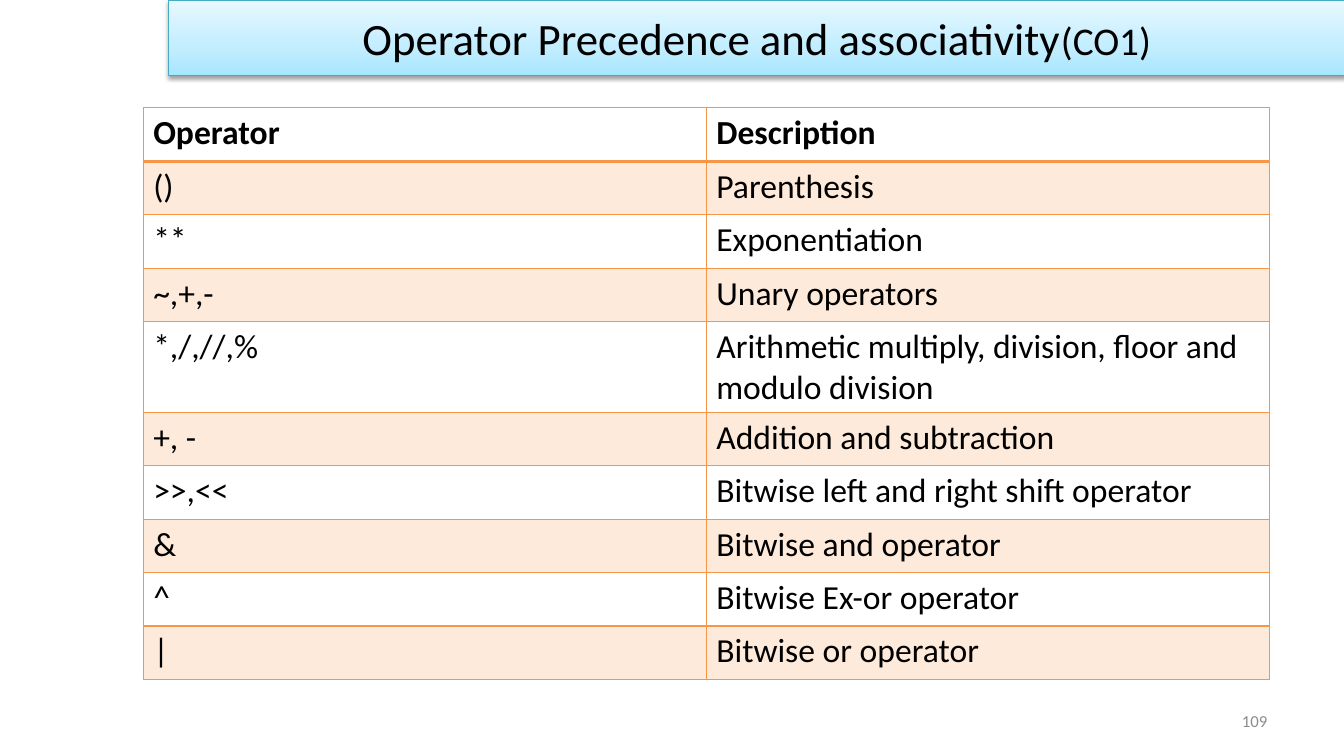
from pptx import Presentation
from pptx.dml.color import RGBColor
from pptx.enum.shapes import MSO_SHAPE as SHAPE
from pptx.enum.text import MSO_ANCHOR as ANCHOR, PP_ALIGN as ALIGN
from pptx.oxml import parse_xml
from pptx.oxml.ns import nsdecls
from pptx.util import Inches, Pt

ORANGE = "F79646"


def color(hex_string):
    return RGBColor.from_string(hex_string)


def style_run(run, size, hex_string="000000", bold=False):
    run.font.name = "Calibri"
    run.font.size = Pt(size)
    run.font.bold = bold
    run.font.color.rgb = color(hex_string)


presentation = Presentation()
presentation.slide_width = Inches(13.33)
presentation.slide_height = Inches(7.5)
slide = presentation.slides.add_slide(presentation.slide_layouts[6])

# Slide number
number_box = slide.shapes.add_textbox(Inches(9.56), Inches(6.95), Inches(3.11), Inches(0.4))
text_frame = number_box.text_frame
text_frame.word_wrap = True
text_frame.vertical_anchor = ANCHOR.MIDDLE
text_frame.text = "109"
text_frame.paragraphs[0].alignment = ALIGN.RIGHT
style_run(text_frame.paragraphs[0].runs[0], 12, "8C8C8C")

# Title banner with gradient and soft shadow
banner = slide.shapes.add_shape(SHAPE.RECTANGLE, Inches(1.67), 0, Inches(11.67), Inches(0.75))
banner.shadow.inherit = False
banner.line.color.rgb = color("46AAC5")
banner.line.width = Pt(0.75)
stops = "".join(
    f'<a:gs pos="{position * 1000}"><a:srgbClr val="{stop}"/></a:gs>'
    for position, stop in [(0, "A7E6FF"), (35, "C1EDFF"), (100, "E7F8FF")]
)
properties = banner.element.spPr
properties.find("{*}prstGeom").addnext(parse_xml(
    f'<a:gradFill {nsdecls("a")} rotWithShape="1"><a:gsLst>{stops}</a:gsLst>'
    '<a:lin ang="16200000" scaled="0"/></a:gradFill>'
))
properties.find("{*}effectLst").append(parse_xml(
    f'<a:outerShdw {nsdecls("a")} blurRad="{Pt(3.1)}" dist="{Pt(1.6)}" dir="5400000" rotWithShape="0">'
    '<a:srgbClr val="000000"><a:alpha val="38000"/></a:srgbClr></a:outerShdw>'
))
text_frame = banner.text_frame
text_frame.vertical_anchor = ANCHOR.MIDDLE
paragraph = text_frame.paragraphs[0]
paragraph.alignment = ALIGN.CENTER
for text, size in [("Operator Precedence and associativity", 32), ("(CO1)", 28)]:
    run = paragraph.add_run()
    run.text = text
    style_run(run, size)

# Operator table
operators = [
    ("Operator", "Description"),
    ("()", "Parenthesis"),
    ("**", "Exponentiation"),
    ("~,+,-", "Unary operators"),
    ("*,/,//,%", "Arithmetic multiply, division, floor and modulo division"),
    ("+, -", "Addition and subtraction"),
    (">>,<<", "Bitwise left and right shift operator"),
    ("&", "Bitwise and operator"),
    ("^", "Bitwise Ex-or operator"),
    ("|", "Bitwise or operator"),
]
row_height = Inches(0.53)
table = slide.shapes.add_table(
    len(operators), 2, Inches(1.42), Inches(1.07), Inches(11.17), row_height * len(operators)
).table
table.first_row = False
table.horz_banding = False

for row_index, row_texts in enumerate(operators):
    table.rows[row_index].height = row_height
    for column_index, text in enumerate(row_texts):
        cell = table.cell(row_index, column_index)
        cell.text = text
        style_run(cell.text_frame.paragraphs[0].runs[0], 24, bold=row_index == 0)

        # Tint every second row
        if row_index % 2:
            cell.fill.solid()
            cell.fill.fore_color.rgb = color(ORANGE)
            cell.fill._xPr.find(".//{*}srgbClr").append(
                parse_xml(f'<a:alpha {nsdecls("a")} val="20000"/>')
            )
        else:
            cell.fill.background()

        # Thin borders, with a heavier rule under the header
        heavy_side = {0: "lnB", 1: "lnT"}.get(row_index)
        cell_properties = cell._tc.get_or_add_tcPr()
        for position, side in enumerate(["lnL", "lnR", "lnT", "lnB"]):
            width = Pt(2 if side == heavy_side else 1)
            cell_properties.insert(position, parse_xml(
                f'<a:{side} {nsdecls("a")} w="{width}"><a:solidFill>'
                f'<a:srgbClr val="{ORANGE}"/></a:solidFill></a:{side}>'
            ))

presentation.save("out.pptx")
